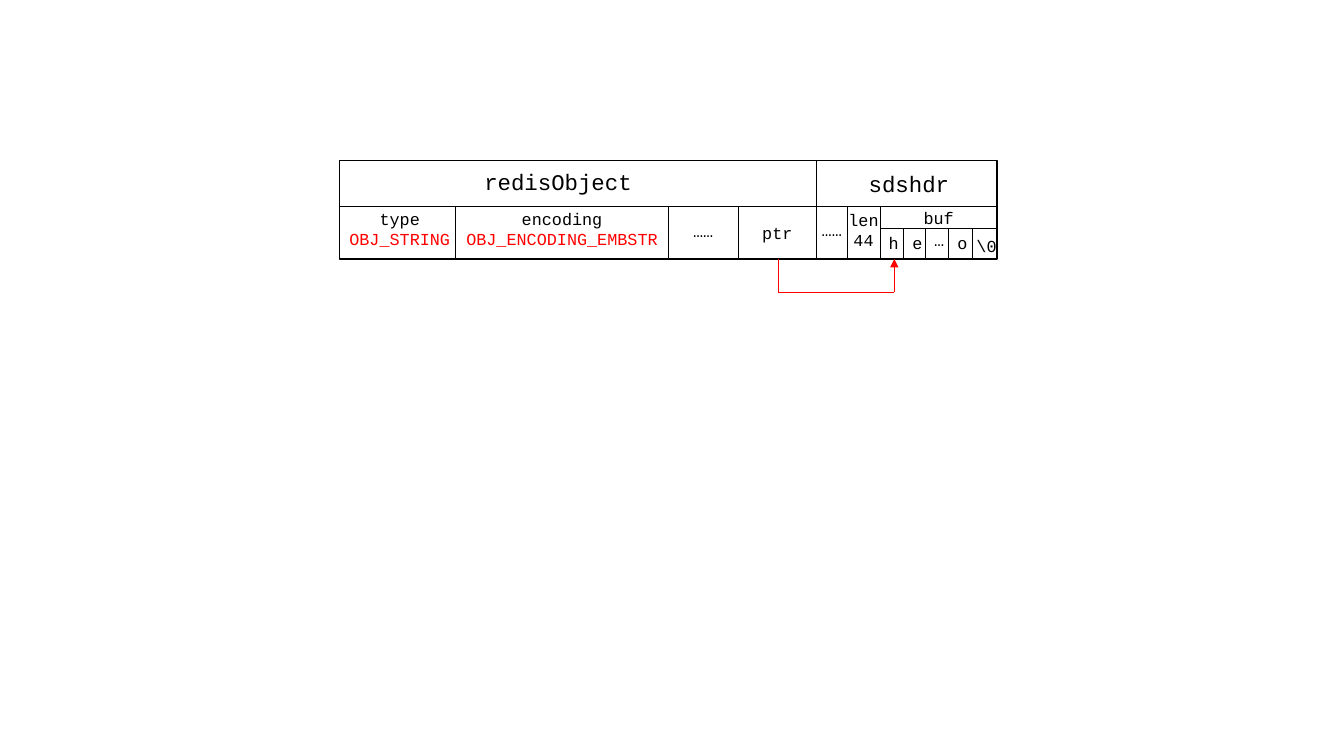
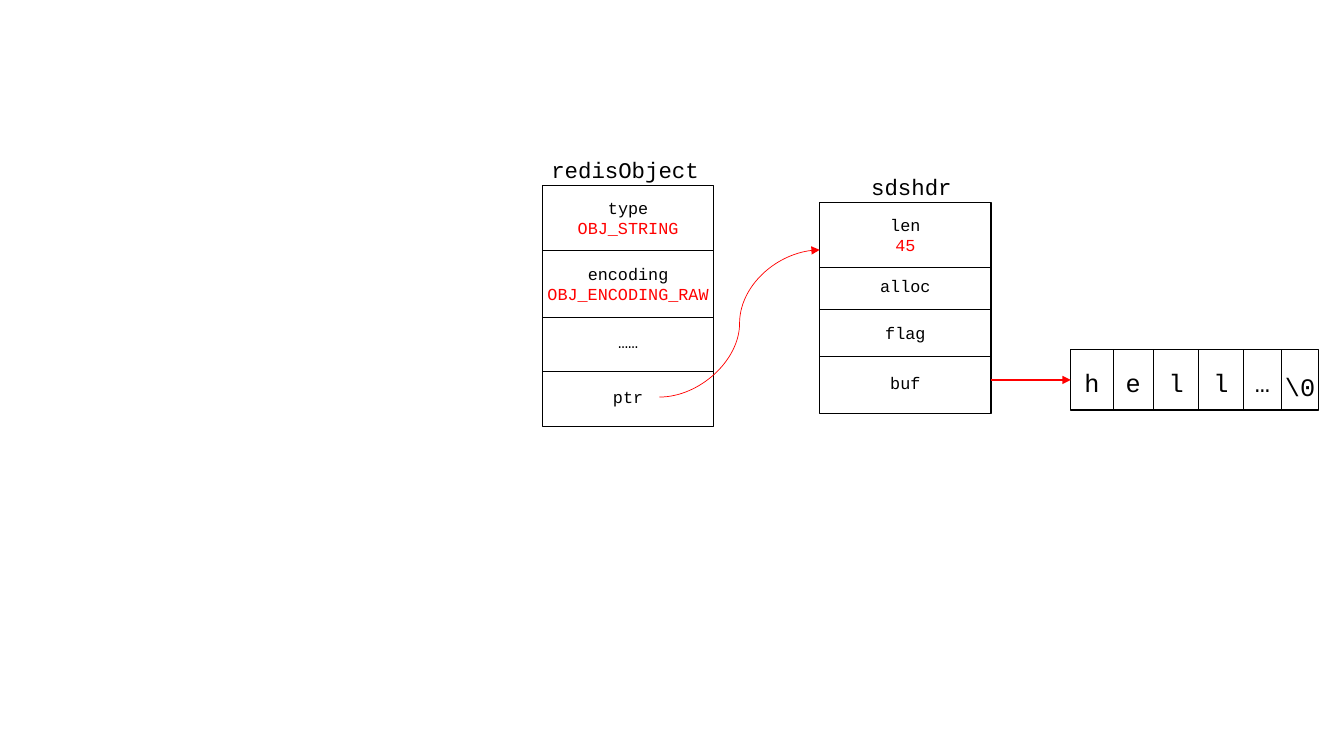
from dataclasses import dataclass

from lxml import etree
from pptx import Presentation
from pptx import util as u
from pptx.dml.color import RGBColor
from pptx.enum import shapes, text
from pptx.oxml.ns import qn

BLACK, RED, WHITE = "000000", "FF0000", "FFFFFF"
FONT = "Courier New"
BODY, BYTE, TITLE = 12, 18, 16
THIN, FRAME, BOLD = 0.5, 1, 1.5


@dataclass
class Cell:
    """One field of a strip; end is its right or lower edge, dx and dy shift its label."""
    name: str
    end: float
    value: str = ""
    value_color: str = RED
    dx: float = 0
    dy: float = 0


# Slide 1: one block of memory (left, top, width, height)
BLOCK = (3.37, 1.59, 6.52, 0.98)
BLOCK_RIGHT, BLOCK_BOTTOM = 9.89, 2.57
FIELD_TOP, BUF_LEFT, BUF_TOP = 2.05, 8.73, 2.27
HEADERS = [
    Cell("redisObject", 8.1, dx=-0.2, dy=-0.02),
    Cell("sdshdr", BLOCK_RIGHT, dx=0.02),
]
FIELDS = [
    Cell("type", 4.52, "OBJ_STRING", dx=0.02, dy=-0.04),
    Cell("encoding", 6.63, "OBJ_ENCODING_EMBSTR", dy=-0.04),
    Cell("……", 7.32, dy=-0.02),
    Cell("ptr", 8.1),
    Cell("……", 8.4, dy=-0.03),
    Cell("len", BUF_LEFT, "44", BLACK, dy=-0.03),
    Cell("buf", BLOCK_RIGHT, dy=-0.15),
]
BLOCK_BYTES = [
    Cell("h", 8.96, dx=0.02, dy=-0.01),
    Cell("e", 9.18, dx=0.03, dy=-0.01),
    Cell("…", 9.41, dx=0.02, dy=-0.04),
    Cell("o", 9.64, dx=0.02, dy=-0.01),
    Cell("\\0", BLOCK_RIGHT, dx=0.02, dy=0.02),
]
POINTER = [(7.72, BLOCK_BOTTOM), (7.72, 2.9), (8.87, 2.9), (8.87, BLOCK_BOTTOM)]

# Slide 2: separate structures (title, title centre, frame, fields)
STRUCTS = [
    ("redisObject", 6.2, (5.38, 1.84, 1.7, 2.39), [
        Cell("type", 2.48, "OBJ_STRING"),
        Cell("encoding", 3.15, "OBJ_ENCODING_RAW"),
        Cell("……", 3.68, dy=-0.02),
        Cell("ptr", 4.23, dy=-0.02),
    ]),
    ("sdshdr", 9.04, (8.13, 2.01, 1.7, 2.09), [
        Cell("len", 2.65, "45"),
        Cell("alloc", 3.07, dy=-0.02),
        Cell("flag", 3.54),
        Cell("buf", 4.1, dy=-0.02),
    ]),
]
BYTES_FRAME = (10.62, 3.47, 2.46, 0.6)
BYTES = [
    Cell("h", 11.04, dy=0.02),
    Cell("e", 11.44, dy=0.02),
    Cell("l", 11.89, dy=0.02),
    Cell("l", 12.33, dy=0.02),
    Cell("…", 12.71, dy=0.02),
    Cell("\\0", 13.08, dy=0.06),
]


def color(value):
    return RGBColor.from_string(value)


def add_frame(slide, frame):
    shape = slide.shapes.add_shape(shapes.MSO_SHAPE.RECTANGLE, *map(u.Inches, frame))
    shape.shadow.inherit = False
    shape.fill.solid()
    shape.fill.fore_color.rgb = color(WHITE)
    shape.line.color.rgb = color(BLACK)
    shape.line.width = u.Pt(FRAME)


def add_line(slide, start, end, stroke=BLACK, width=THIN, arrow=False, curved=False):
    kind = shapes.MSO_CONNECTOR.CURVE if curved else shapes.MSO_CONNECTOR.STRAIGHT
    connector = slide.shapes.add_connector(kind, *map(u.Inches, (*start, *end)))
    connector.line.color.rgb = color(stroke)
    connector.line.width = u.Pt(width)
    if arrow:
        outline = connector.line._get_or_add_ln()
        etree.SubElement(outline, qn("a:tailEnd"), type="triangle")
    etree.SubElement(connector._element.spPr, qn("a:effectLst"))


def add_label(slide, center, lines, size=BODY):
    """Centre a text box on a point; lines holds (text, colour) pairs."""
    width = max(len(words) for words, _ in lines) * size / 120 + 0.26
    height = len(lines) * size / 60 + 0.1
    box = slide.shapes.add_textbox(
        u.Inches(center[0] - width / 2), u.Inches(center[1] - height / 2),
        u.Inches(width), u.Inches(height))
    frame = box.text_frame
    frame.word_wrap = True
    frame.auto_size = text.MSO_AUTO_SIZE.SHAPE_TO_FIT_TEXT
    frame.vertical_anchor = text.MSO_ANCHOR.TOP
    for index, (words, shade) in enumerate(lines):
        paragraph = frame.add_paragraph() if index else frame.paragraphs[0]
        paragraph.alignment = text.PP_ALIGN.CENTER
        run = paragraph.add_run()
        run.text = words
        run.font.name = FONT
        run.font.size = u.Pt(size)
        run.font.color.rgb = color(shade)


def add_strip(slide, cells, start, near, far, size=BODY, vertical=False):
    """Divide a band, near to far across its run, and label each cell at its centre."""
    def place(along, across):
        return (across, along) if vertical else (along, across)

    for cell in cells:
        x, y = place((start + cell.end) / 2, (near + far) / 2)
        lines = [(cell.name, BLACK)]
        if cell.value:
            lines.append((cell.value, cell.value_color))
        add_label(slide, (x + cell.dx, y + cell.dy), lines, size)
        if cell is not cells[-1]:
            add_line(slide, place(cell.end, near), place(cell.end, far))
        start = cell.end


def build_block(slide):
    left, top = BLOCK[:2]
    add_frame(slide, BLOCK)
    add_line(slide, (left, FIELD_TOP), (BLOCK_RIGHT, FIELD_TOP))
    add_line(slide, (BUF_LEFT, BUF_TOP), (BLOCK_RIGHT, BUF_TOP))
    add_strip(slide, HEADERS, left, top, FIELD_TOP, TITLE)
    add_strip(slide, FIELDS, left, FIELD_TOP, BLOCK_BOTTOM)
    add_strip(slide, BLOCK_BYTES, BUF_LEFT, BUF_TOP, BLOCK_BOTTOM)
    for start, end in zip(POINTER, POINTER[1:]):
        add_line(slide, start, end, RED, arrow=end == POINTER[-1])


def build_structs(slide):
    for title, title_center, frame, cells in STRUCTS:
        left, top, width, _ = frame
        add_frame(slide, frame)
        add_strip(slide, cells, top, left, left + width, vertical=True)
        add_label(slide, (title_center, top - 0.16), [(title, BLACK)], TITLE)
    left, top, _, height = BYTES_FRAME
    add_frame(slide, BYTES_FRAME)
    add_strip(slide, BYTES, left, top, top + height, BYTE)
    middle = top + height / 2
    add_line(slide, (9.83, middle), (left, middle), RED, BOLD, arrow=True)
    add_line(slide, (6.54, 3.94), (8.13, 2.48), RED, arrow=True, curved=True)


def main():
    presentation = Presentation()
    presentation.slide_width = u.Inches(13.33)
    presentation.slide_height = u.Inches(7.5)
    for build in (build_block, build_structs):
        build(presentation.slides.add_slide(presentation.slide_layouts[6]))
    presentation.save("out.pptx")


if __name__ == "__main__":
    main()
